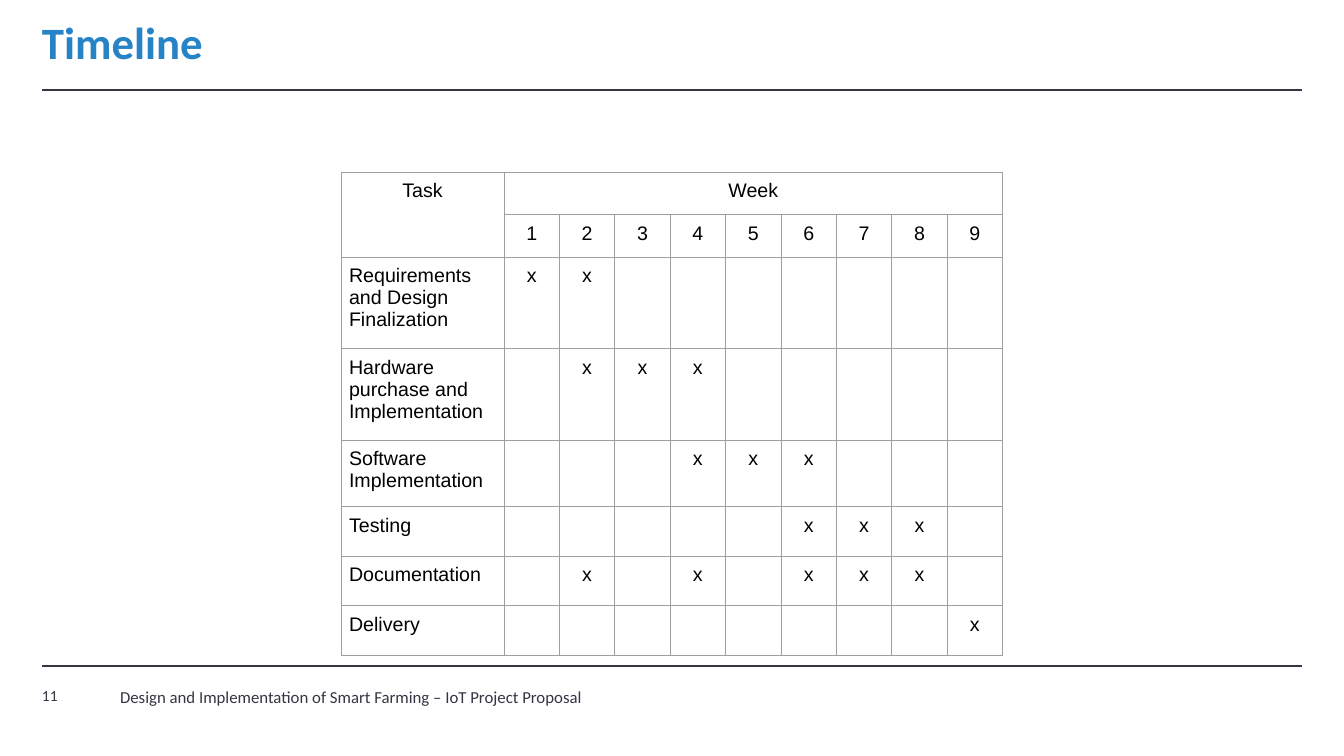
from lxml.etree import SubElement
from pptx import Presentation
from pptx.dml.color import RGBColor
from pptx.enum.shapes import MSO_CONNECTOR
from pptx.enum.text import MSO_ANCHOR, PP_ALIGN
from pptx.oxml.ns import qn
from pptx.util import Inches, Pt

# Grid: 160 columns by 90 rows, 12 units to the inch
UNITS_PER_INCH = 12
LEFT, RIGHT = 5, 155

TASKS = [
    ("Requirements and Design Finalization", 10.9, {1, 2}),
    ("Hardware purchase and Implementation", 10.9, {2, 3, 4}),
    ("Software Implementation", 7.9, {4, 5, 6}),
    ("Testing", 5.9, {6, 7, 8}),
    ("Documentation", 5.9, {2, 4, 6, 7, 8}),
    ("Delivery", 5.9, {9}),
]
WEEKS = range(1, 10)


def colour(value):
    return RGBColor.from_string(value)


def grid(units):
    return Inches(units / UNITS_PER_INCH)


class TimelineSlide:
    heading = "2683C6"
    ink = "373545"
    table_ink = "000000"
    border = "9E9E9E"

    def __init__(self, deck):
        self.page = deck.slides.add_slide(deck.slide_layouts[6])

    def span(self, para, text, size, ink, font="Calibri", bold=False):
        span = para.add_run()
        span.text = text
        span.font.name = font
        span.font.size = Pt(size)
        span.font.bold = bold
        span.font.color.rgb = colour(ink)

    def text(self, place, text, size, ink, bold=False, anchor=MSO_ANCHOR.TOP, spacing=1.0):
        box = self.page.shapes.add_textbox(*map(grid, place))
        frame = box.text_frame
        frame.word_wrap = True
        frame.vertical_anchor = anchor
        frame.margin_left = frame.margin_right = frame.margin_top = frame.margin_bottom = 0
        para = frame.paragraphs[0]
        para.line_spacing = spacing
        self.span(para, text, size, ink, bold=bold)

    def rule(self, row):
        line = self.page.shapes.add_connector(
            MSO_CONNECTOR.STRAIGHT, grid(LEFT), grid(row), grid(RIGHT), grid(row))
        line.line.color.rgb = colour(self.ink)
        line.line.width = Pt(1)
        SubElement(line._element.spPr, qn("a:effectLst"))

    def table(self, left, top, columns, rows):
        frame = self.page.shapes.add_table(
            len(rows), len(columns), grid(left), grid(top), grid(sum(columns)), grid(sum(rows)))
        table = frame.table
        table.first_row = table.horz_banding = False
        for column, width in zip(table.columns, columns):
            column.width = grid(width)
        for row, height in zip(table.rows, rows):
            row.height = grid(height)
        for cell in table.iter_cells():
            self.outline(cell)
            cell.fill.background()
        return table

    def outline(self, cell):
        properties = cell._tc.get_or_add_tcPr()
        for side in ("a:lnL", "a:lnR", "a:lnT", "a:lnB"):
            line = SubElement(properties, qn(side), w=str(Pt(0.6)))
            fill = SubElement(line, qn("a:solidFill"))
            SubElement(fill, qn("a:srgbClr"), val=self.border)

    def cell(self, cell, text, align=PP_ALIGN.CENTER):
        cell.margin_left = cell.margin_right = cell.margin_top = cell.margin_bottom = grid(0.95)
        para = cell.text_frame.paragraphs[0]
        para.alignment = align
        self.span(para, text, 14, self.table_ink, font="Arial")


def main():
    deck = Presentation()
    deck.slide_width, deck.slide_height = grid(160), grid(90)
    slide = TimelineSlide(deck)

    # Footer and rules
    slide.text((14.3, 81.7, 58.6, 2.4),
               "Design and Implementation of Smart Farming – IoT Project Proposal", 12, slide.ink)
    slide.rule(10.7)
    slide.rule(79.3)

    # Title and page number
    slide.text((LEFT, 1, RIGHT - LEFT, 8.75), "Timeline", 32, slide.heading,
               bold=True, anchor=MSO_ANCHOR.MIDDLE, spacing=0.9)
    slide.text((LEFT, 81.7, 7.6, 6), "11", 11, slide.ink)

    # Table header
    columns = [19.4] + [6.6] * len(WEEKS)
    rows = [5.05, 5.05] + [height for _, height, _ in TASKS]
    table = slide.table(40.6, 20.5, columns, rows)
    table.cell(0, 0).merge(table.cell(1, 0))
    table.cell(0, 1).merge(table.cell(0, len(WEEKS)))
    slide.cell(table.cell(0, 0), "Task")
    slide.cell(table.cell(0, 1), "Week")
    for week in WEEKS:
        slide.cell(table.cell(1, week), str(week))

    # Tasks and their weeks
    for row, (task, _, active_weeks) in enumerate(TASKS, start=2):
        slide.cell(table.cell(row, 0), task, PP_ALIGN.LEFT)
        for week in active_weeks:
            slide.cell(table.cell(row, week), "x")

    deck.save("out.pptx")


if __name__ == "__main__":
    main()
